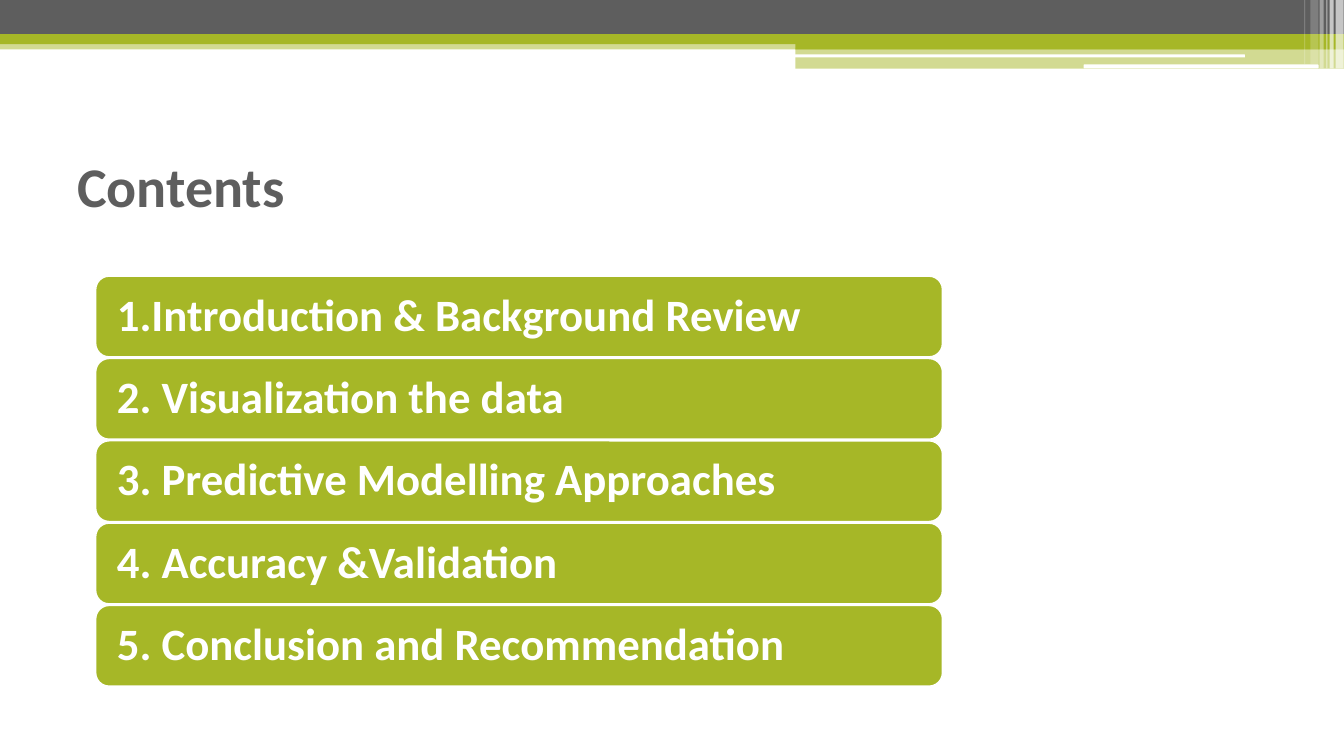
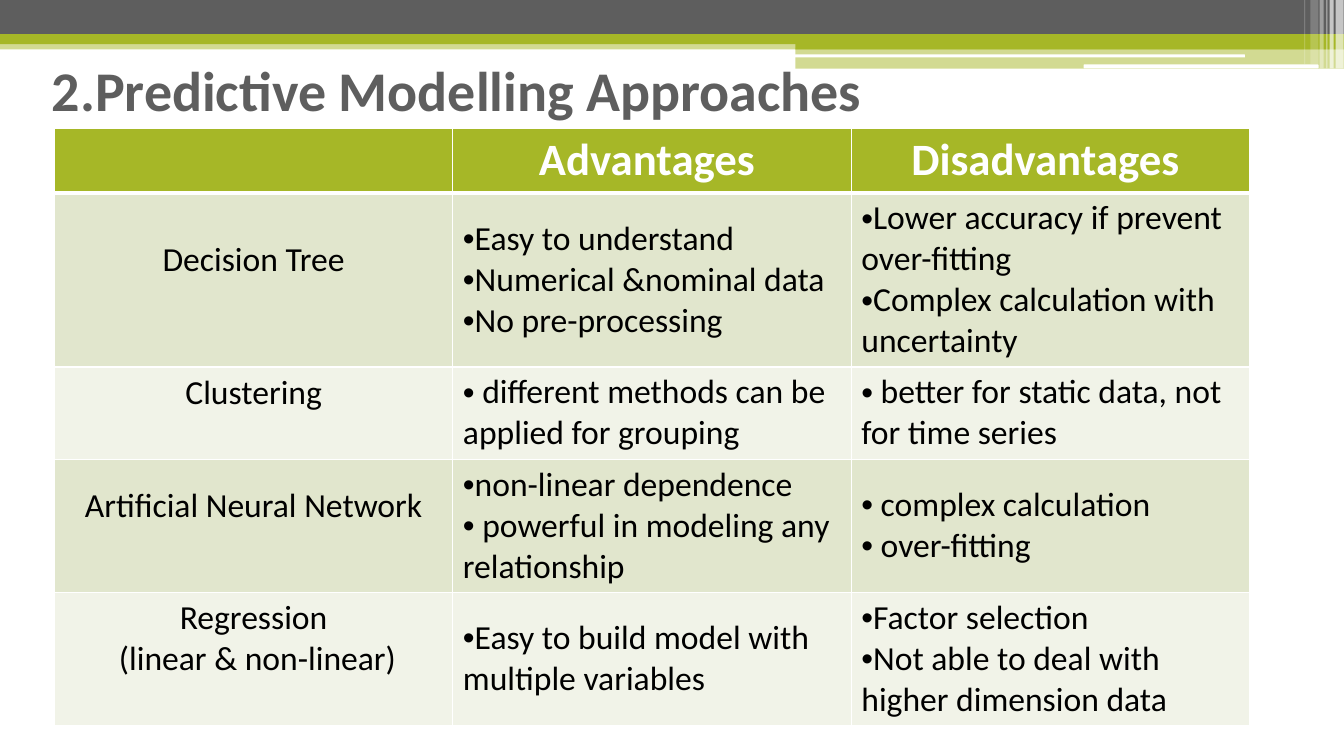
import lxml.etree
import pptx
import pptx.dml.color
import pptx.enum.shapes
import pptx.enum.text
import pptx.oxml
import pptx.oxml.ns
import pptx.util

SLIDE_WIDTH = pptx.util.Inches(13.33)
SLIDE_HEIGHT = pptx.util.Inches(7.5)
FONT = "Calibri"
GREEN, GREY, WHITE, BLACK = "A6B727", "5E5E5E", "FFFFFF", "000000"
ROW_TINTS = ("E1E6CD", "F1F3E8")

RECTANGLE = pptx.enum.shapes.MSO_SHAPE.RECTANGLE
ROUNDED = pptx.enum.shapes.MSO_SHAPE.ROUNDED_RECTANGLE
LEFT = pptx.enum.text.PP_ALIGN.LEFT
CENTER = pptx.enum.text.PP_ALIGN.CENTER
MIDDLE = pptx.enum.text.MSO_ANCHOR.MIDDLE

# Outline, (left, top, width, height) in percent of the slide, colour, opacity
BANDS = [
    (RECTANGLE, (0, 5.33, 100, 1.2), GREEN, 50),
    (RECTANGLE, (0, 0, 100, 4.53), GREY, 100),
    (RECTANGLE, (0, 4.53, 100, 1.33), GREEN, 100),
    (RECTANGLE, (59.18, 5.2, 40.82, 1.33), GREEN, 100),
    (RECTANGLE, (59.18, 6.4, 40.82, 2.67), GREEN, 50),
    (ROUNDED, (59.1, 7.2, 33.53, 0.4), WHITE, 100),
    (ROUNDED, (80.63, 8.53, 17.48, 0.5), WHITE, 100),
    (RECTANGLE, (99.38, 0, 0.6, 9.07), WHITE, 65),
    (RECTANGLE, (98.93, 0, 0.3, 9.07), WHITE, 65),
    (RECTANGLE, (98.7, 0, 0.07, 9.07), WHITE, 60),
    (RECTANGLE, (98.18, 0, 0.3, 9.07), WHITE, 40),
    (RECTANGLE, (97.5, 0, 0.6, 8.53), WHITE, 20),
    (RECTANGLE, (97.05, 0, 0.07, 8.53), WHITE, 30),
]

CONTENTS = [
    "1.Introduction & Background Review",
    "2. Visualization the data",
    "3. Predictive Modelling Approaches",
    "4. Accuracy &Validation",
    "5. Conclusion and Recommendation",
]

HEADINGS = ["", "Advantages ", "Disadvantages "]
APPROACHES = [
    (["Decision Tree"],
     ["Easy to understand", "Numerical &nominal data", "No pre-processing"],
     ["Lower accuracy if prevent over-fitting",
      "Complex calculation with uncertainty"]),
    (["Clustering"],
     [" different methods can be applied for grouping"],
     [" better for static data, not for time series"]),
    (["Artificial Neural Network"],
     ["non-linear dependence", " powerful in modeling any relationship"],
     [" complex calculation", " over-fitting"]),
    (["Regression", " (linear & non-linear)"],
     ["Easy to build model with multiple variables"],
     ["Factor selection", "Not able to deal with higher dimension data"]),
]
ROW_HEIGHTS = [8.5, 22.9, 12.2, 17.5, 17.5]


def across(percent):
    return round(SLIDE_WIDTH * percent / 100)


def down(percent):
    return round(SLIDE_HEIGHT * percent / 100)


def place(left, top, width, height):
    """Turn percentages of the slide into lengths."""
    return across(left), down(top), across(width), down(height)


def color(hex_code):
    return pptx.dml.color.RGBColor.from_string(hex_code)


def add_xml(parent, tag, **attributes):
    child = lxml.etree.SubElement(parent, pptx.oxml.ns.qn(tag))
    for name, value in attributes.items():
        child.set(name, str(value))
    return child


def write_text(frame, lines, size, ink, bold=False, align=LEFT,
               line_spacing=None, bullet=None):
    frame.word_wrap = True
    frame.text = "\n".join(lines)
    for paragraph in frame.paragraphs:
        paragraph.alignment = align
        paragraph.line_spacing = line_spacing
        for run in paragraph.runs:
            run.font.name = FONT
            run.font.size = pptx.util.Pt(size)
            run.font.bold = bold
            run.font.color.rgb = color(ink)
        if bullet:
            properties = paragraph._p.get_or_add_pPr()
            properties.set("marL", "0")
            properties.set("indent", "0")
            add_xml(properties, "a:buFont", typeface="Arial")
            add_xml(properties, "a:buChar", char=bullet)


def add_block(slide, outline, box, fill, opacity=100):
    block = slide.shapes.add_shape(outline, *place(*box))
    block.shadow.inherit = False
    block.fill.solid()
    block.fill.fore_color.rgb = color(fill)
    block.line.fill.background()
    if opacity < 100:
        tone = block.element.spPr.find(".//" + pptx.oxml.ns.qn("a:srgbClr"))
        add_xml(tone, "a:alpha", val=opacity * 1000)
    return block


def move_bands_to_layout(slide):
    """Draw the bands once and hand them to the layout the slides share."""
    layout_tree = slide.slide_layout.shapes.element
    for number, band in enumerate(BANDS, start=20):
        drawn = add_block(slide, *band).element
        drawn.nvSpPr.cNvPr.set("id", str(number))
        layout_tree.append(drawn)


def add_titled_slide(deck, title, left, top):
    slide = deck.slides.add_slide(deck.slide_layouts[5])
    heading = slide.shapes.title
    heading.left, heading.top, heading.width, heading.height = place(
        left, top, 90, 15.6)
    heading.text_frame.vertical_anchor = MIDDLE
    heading.text_frame.auto_size = pptx.enum.text.MSO_AUTO_SIZE.NONE
    write_text(heading.text_frame, [title], size=40, ink=GREY, bold=True)
    return slide


def add_contents_list(slide, topics):
    first_top, step = 36.53, 10.89
    for index, topic in enumerate(topics):
        bar = add_block(slide, ROUNDED,
                        (7.12, first_top + index * step, 63, 10.67), GREEN)
        bar.line.color.rgb = color(WHITE)
        bar.line.width = pptx.util.Pt(1)
        frame = bar.text_frame
        frame.vertical_anchor = MIDDLE
        frame.margin_left = frame.margin_right = across(1.28)
        write_text(frame, [topic], size=32, ink=WHITE, bold=True,
                   line_spacing=0.9)


def style_cell(cell, fill, top=1, bottom=1):
    """Fill a cell and rule it in white; top and bottom are in points."""
    properties = cell._tc.get_or_add_tcPr()
    for side, width in (("L", 1), ("R", 1), ("T", top), ("B", bottom)):
        rule = add_xml(properties, "a:ln" + side, w=pptx.util.Pt(width))
        add_xml(add_xml(rule, "a:solidFill"), "a:srgbClr", val=WHITE)
    cell.fill.solid()
    cell.fill.fore_color.rgb = color(fill)
    cell.vertical_anchor = MIDDLE


def add_approach_table(slide):
    table = slide.shapes.add_table(
        len(ROW_HEIGHTS), len(HEADINGS),
        *place(4.05, 16.93, 88.95, sum(ROW_HEIGHTS))).table
    table.horz_banding = False
    for row, height in zip(table.rows, ROW_HEIGHTS):
        row.height = down(height)

    for column, heading in enumerate(HEADINGS):
        cell = table.cell(0, column)
        style_cell(cell, GREEN, bottom=3)
        if heading:
            write_text(cell.text_frame, [heading], size=32, ink=WHITE,
                       bold=True, align=CENTER)

    for row, approach in enumerate(APPROACHES, start=1):
        for column, lines in enumerate(approach):
            cell = table.cell(row, column)
            style_cell(cell, ROW_TINTS[(row - 1) % 2], top=3 if row == 1 else 1)
            is_name = column == 0
            if is_name:
                cell.margin_bottom = down(6)
            write_text(cell.text_frame, lines, size=24, ink=BLACK,
                       align=CENTER if is_name else LEFT,
                       bullet=None if is_name else "•")


def main():
    deck = pptx.Presentation()
    deck.slide_width, deck.slide_height = SLIDE_WIDTH, SLIDE_HEIGHT

    contents = add_titled_slide(deck, "Contents", 5, 16.67)
    move_bands_to_layout(contents)
    add_contents_list(contents, CONTENTS)

    approaches = add_titled_slide(
        deck, "2.Predictive Modelling Approaches", 3.1, 4)
    add_approach_table(approaches)

    deck.save("out.pptx")


if __name__ == "__main__":
    main()
